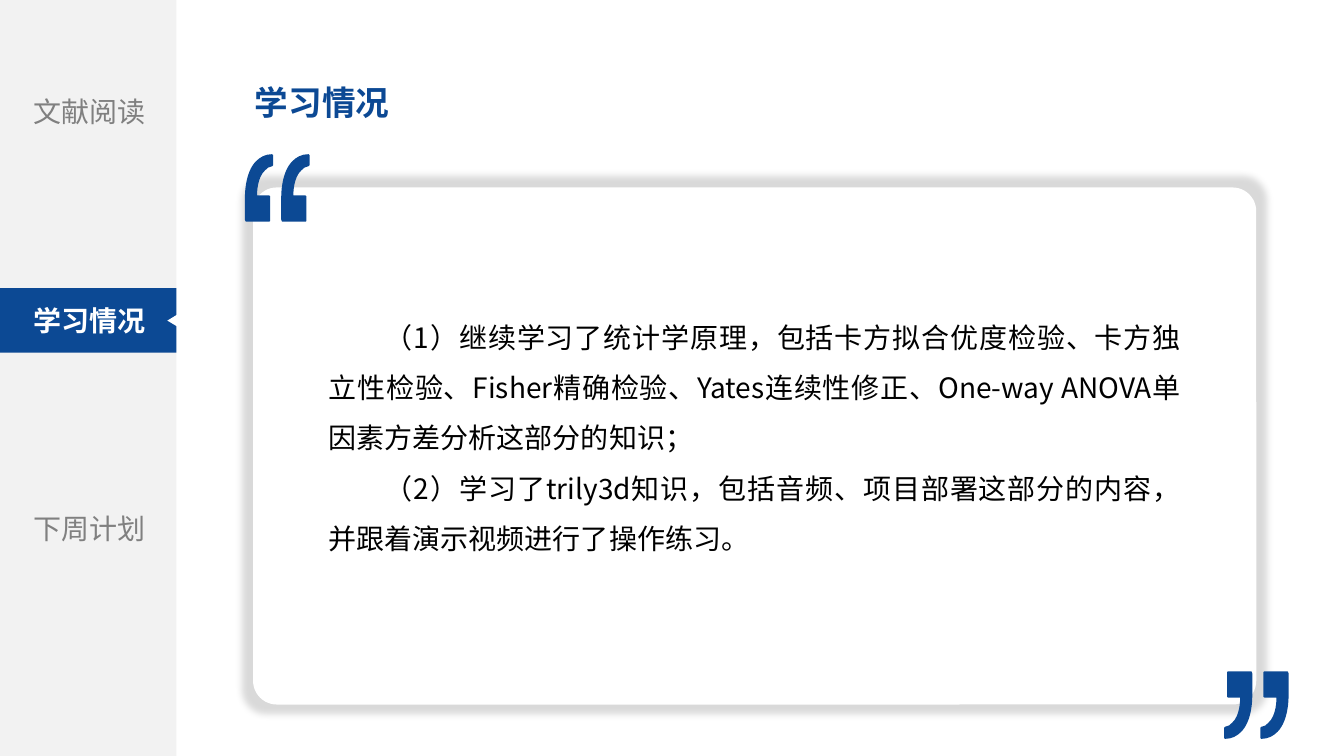
from dataclasses import dataclass

from lxml import etree
from pptx import Presentation
from pptx.dml.color import RGBColor
from pptx.enum.shapes import MSO_SHAPE
from pptx.enum.text import PP_ALIGN
from pptx.oxml.ns import qn
from pptx.util import Inches, Pt

RECTANGLE = MSO_SHAPE.RECTANGLE
ROUNDED = MSO_SHAPE.ROUNDED_RECTANGLE
TRIANGLE = MSO_SHAPE.ISOSCELES_TRIANGLE
LEFT, CENTER, JUSTIFY = PP_ALIGN.LEFT, PP_ALIGN.CENTER, PP_ALIGN.JUSTIFY


@dataclass(frozen=True)
class Theme:
    font: str = "Noto Sans CJK SC"
    blue: str = "0C4994"
    white: str = "FFFFFF"
    black: str = "000000"
    gray: str = "808080"
    sidebar: str = "F2F2F2"
    title_size: int = 24
    text_size: int = 20


theme = Theme()
presentation = Presentation()
presentation.slide_width = Inches(13.33)
presentation.slide_height = Inches(7.5)
slide = presentation.slides.add_slide(presentation.slide_layouts[6])


def paint(shape, color):
    shape.shadow.inherit = False
    shape.fill.solid()
    shape.fill.fore_color.rgb = RGBColor.from_string(color)
    shape.line.fill.background()


def add_text(box, paragraphs, size, color, bold=False, align=LEFT, wrap=False):
    text_frame = slide.shapes.add_textbox(*map(Inches, box)).text_frame
    text_frame.word_wrap = wrap
    text_frame.text = "\n".join(paragraphs)
    for paragraph in text_frame.paragraphs:
        paragraph.alignment = align
        for run in paragraph.runs:
            run.font.name = theme.font
            run.font.size = Pt(size)
            run.font.bold = bold
            run.font.color.rgb = RGBColor.from_string(color)
            east_asian = etree.SubElement(run.font._element, qn("a:ea"))
            east_asian.set("typeface", theme.font)
    return text_frame


blocks = [
    (RECTANGLE, (0, 0, 1.75, 7.5), theme.sidebar),
    (RECTANGLE, (0, 2.86, 1.75, 0.64), theme.blue),
    (TRIANGLE, (1.65, 3.13, 0.12, 0.1), theme.white),
    (ROUNDED, (2.51, 1.86, 9.95, 5.13), theme.white),
]
for kind, box, color in blocks:
    shape = slide.shapes.add_shape(kind, *map(Inches, box))
    paint(shape, color)
    if kind == TRIANGLE:
        shape.rotation = 270
    if kind == ROUNDED:
        shape.adjustments[0] = 0.046
        effects = shape._element.spPr.find(qn("a:effectLst"))
        shadow = etree.SubElement(
            effects, qn("a:outerShdw"), blurRad=str(Inches(0.07)),
            sx="102000", sy="104000", algn="ctr", rotWithShape="0")
        shadow_color = etree.SubElement(shadow, qn("a:srgbClr"), val=theme.black)
        etree.SubElement(shadow_color, qn("a:alpha"), val="15000")

active_section = "学习情况"
for index, section in enumerate(["文献阅读", active_section, "下周计划"]):
    active = section == active_section
    add_text((0.23, 0.89 + 2.07 * index, 1.31, 0.44), [section], theme.text_size,
             theme.white if active else theme.gray, active, CENTER)

add_text((2.43, 0.76, 1.53, 0.5), [active_section], theme.title_size, theme.blue, True)

mark_start = (0.27, 0)
mark_segments = [
    [(0.28, 0), (0.28, 0), (0.28, 0.01)],
    [(0.28, 0.11)],
    [(0.28, 0.12), (0.28, 0.12), (0.27, 0.12)],
    [(0.24, 0.12), (0.22, 0.14), (0.2, 0.16)],
    [(0.12, 0.23), (0.12, 0.39), (0.12, 0.41)],
    [(0.24, 0.41)],
    [(0.25, 0.41), (0.25, 0.42), (0.25, 0.43)],
    [(0.25, 0.65)],
    [(0.25, 0.66), (0.25, 0.67), (0.24, 0.67)],
    [(0.01, 0.67)],
    [(0.01, 0.67), (0, 0.66), (0, 0.65)],
    [(0, 0.42)],
    [(0, 0.4), (0, 0.18), (0.11, 0.07)],
    [(0.15, 0.03), (0.2, 0), (0.27, 0)],
]
mark_points = [mark_start] + sum(mark_segments, [])
mark_offsets = (0, 0.36)

for left, top, rotation in [(2.43, 1.53, 0), (12.14, 6.66, 180)]:
    builder = None
    for offset in mark_offsets:
        outline = [(Inches(left + offset + x), Inches(top + y)) for x, y in mark_points]
        if builder is None:
            builder = slide.shapes.build_freeform(*outline[0])
        else:
            builder.move_to(*outline[0])
        builder.add_line_segments(outline[1:], close=True)
    quote = builder.convert_to_shape()
    quote.rotation = rotation
    paint(quote, theme.blue)
    lines = iter(list(quote._element.iter(qn("a:lnTo"))))
    for segment in mark_segments * len(mark_offsets):
        curve, *controls = [next(lines) for _ in segment]
        if controls:
            curve.tag = qn("a:cubicBezTo")
        for control in controls:
            curve.append(control[0])
            control.getparent().remove(control)

study_notes = [
    "（1）继续学习了统计学原理，包括卡方拟合优度检验、卡方独立性检验、Fisher精确检验、"
    "Yates连续性修正、One-way ANOVA单因素方差分析这部分的知识；",
    "（2）学习了trily3d知识，包括音频、项目部署这部分的内容，并跟着演示视频进行了操作练习。",
]
body = add_text((3.16, 2.96, 8.65, 2.88), study_notes, theme.text_size,
                theme.black, align=JUSTIFY, wrap=True)
for paragraph in body.paragraphs:
    paragraph.line_spacing = 1.5
    paragraph._p.get_or_add_pPr().set("indent", str(Inches(0.56)))

presentation.save("out.pptx")
